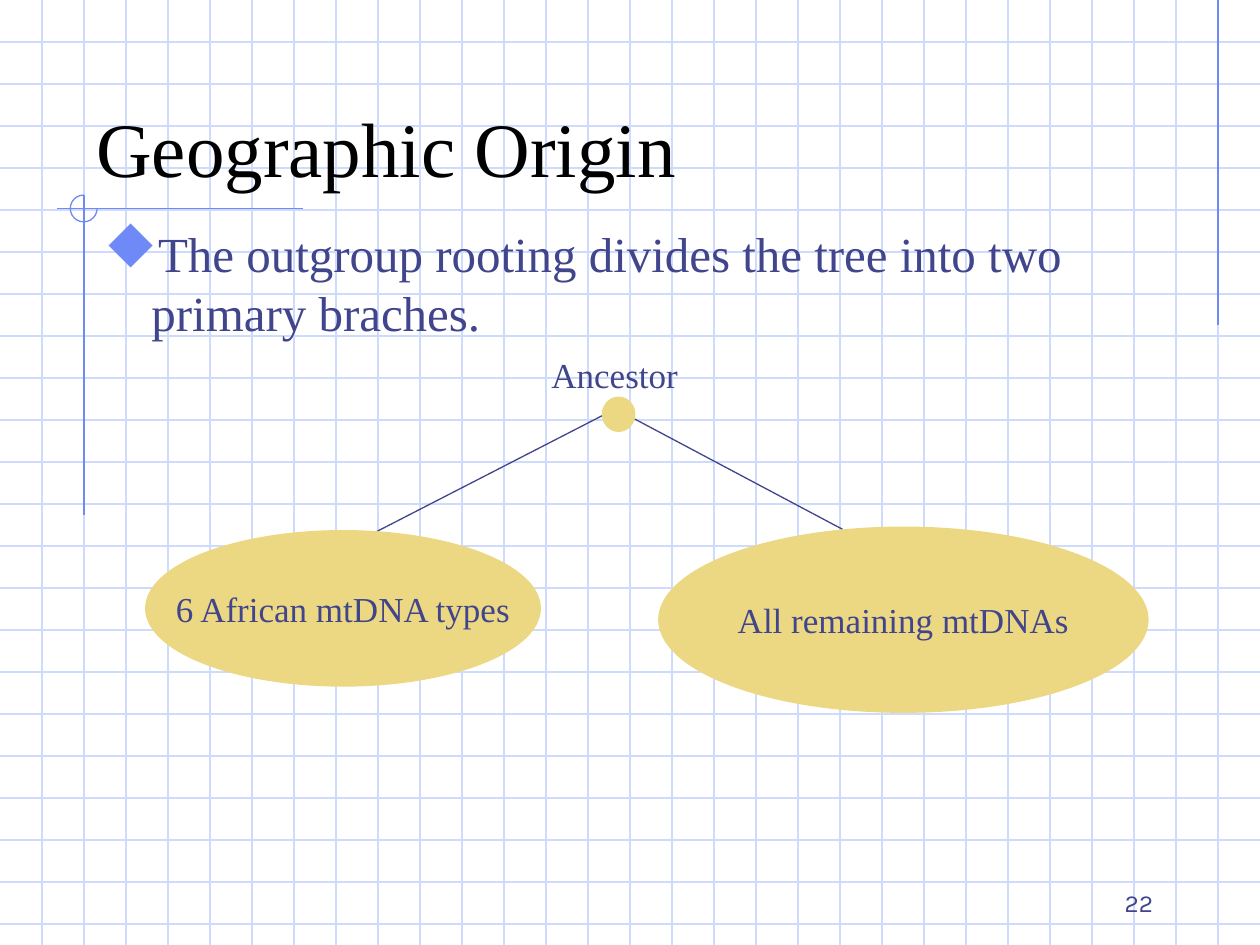
from lxml.etree import SubElement
from pptx import Presentation
from pptx.dml.color import RGBColor
from pptx.enum.shapes import MSO_CONNECTOR, MSO_SHAPE
from pptx.enum.text import MSO_ANCHOR, MSO_AUTO_SIZE, PP_ALIGN
from pptx.oxml.ns import qn
from pptx.util import Pt

BLACK = RGBColor(0x00, 0x00, 0x00)
INDIGO = RGBColor(0x40, 0x45, 0x8C)
PERIWINKLE = RGBColor(0x6F, 0x89, 0xF7)
GRID_BLUE = RGBColor(0xCF, 0xDB, 0xFD)
SAND = RGBColor(0xEC, 0xD8, 0x82)
SERIF = "Times New Roman"
WIDTH, HEIGHT, GRID_STEP = 720, 540, 24

deck = Presentation()
deck.slide_width, deck.slide_height = Pt(WIDTH), Pt(HEIGHT)
slide = deck.slides.add_slide(deck.slide_layouts[6])


def draw_line(x1, y1, x2, y2, color):
    line = slide.shapes.add_connector(
        MSO_CONNECTOR.STRAIGHT, Pt(x1), Pt(y1), Pt(x2), Pt(y2)
    )
    line.line.color.rgb = color
    line.line.width = Pt(0.75)
    SubElement(line._element.spPr, qn("a:effectLst"))


def write(holder, text, size, color=INDIGO, font=SERIF, align=PP_ALIGN.LEFT, **frame_format):
    frame = holder.text_frame
    for attribute, value in frame_format.items():
        setattr(frame, attribute, value)
    paragraph = frame.paragraphs[0]
    paragraph.alignment = align
    run = paragraph.add_run()
    run.text = text
    for attribute, value in {"name": font, "size": Pt(size)}.items():
        setattr(run.font, attribute, value)
    run.font.color.rgb = color
    return paragraph


for y in range(GRID_STEP, HEIGHT, GRID_STEP):
    draw_line(0, y, WIDTH, y, GRID_BLUE)
for x in range(GRID_STEP, WIDTH, GRID_STEP):
    draw_line(x, 0, x, HEIGHT, GRID_BLUE)

for ends in [(696, 0, 696, 186), (173, 119.2, 32.5, 119.2), (48, 111.5, 48, 294.5)]:
    draw_line(*ends, PERIWINKLE)

corner_arc = slide.shapes.add_shape(MSO_SHAPE.ARC, Pt(40.2), Pt(111.5), Pt(15.3), Pt(15.3))
corner_arc.shadow.inherit = False
corner_arc.adjustments[0] = 0
corner_arc.adjustments[1] = 162
corner_arc.fill.background()
corner_arc.line.color.rgb = PERIWINKLE
corner_arc.line.width = Pt(0.75)

title = slide.shapes.add_textbox(Pt(48), Pt(24), Pt(612), Pt(90))
write(title, "Geographic Origin", 44, BLACK, word_wrap=True, vertical_anchor=MSO_ANCHOR.BOTTOM)

body = slide.shapes.add_textbox(Pt(52.5), Pt(124), Pt(625.5), Pt(350.5))
statement = write(
    body,
    "The outgroup rooting divides the tree into two primary braches.",
    28,
    word_wrap=True,
)
bullet = statement._p.get_or_add_pPr()
bullet.set("marL", str(Pt(27)))
bullet.set("indent", str(Pt(-27)))
SubElement(SubElement(bullet, qn("a:buClr")), qn("a:srgbClr"), val=str(PERIWINKLE))
SubElement(bullet, qn("a:buSzPct"), val="110000")
SubElement(bullet, qn("a:buFont"), typeface="Wingdings", pitchFamily="2", charset="2")
SubElement(bullet, qn("a:buChar"), char="u")

draw_line(352, 233.5, 208, 307.5, INDIGO)
draw_line(351.5, 233.5, 481.5, 302.5, INDIGO)

for label, left, top, width, height in [
    ("6 African mtDNA types", 83.25, 303.25, 225.5, 88.75),
    ("All remaining mtDNAs", 376.5, 301.25, 279.5, 105.75),
    ("", 344.25, 227, 18.5, 19.5),
]:
    group = slide.shapes.add_shape(MSO_SHAPE.OVAL, Pt(left), Pt(top), Pt(width), Pt(height))
    group.shadow.inherit = False
    group.fill.solid()
    group.fill.fore_color.rgb = SAND
    group.line.color.rgb = SAND
    group.line.width = Pt(0.75)
    if label:
        write(
            group,
            label,
            20,
            align=PP_ALIGN.CENTER,
            word_wrap=False,
            vertical_anchor=MSO_ANCHOR.MIDDLE,
        )

ancestor = slide.shapes.add_textbox(Pt(308), Pt(198.5), Pt(86.5), Pt(31.5))
write(ancestor, "Ancestor", 20, word_wrap=False, auto_size=MSO_AUTO_SIZE.SHAPE_TO_FIT_TEXT)

page_number = slide.shapes.add_textbox(Pt(516), Pt(492), Pt(150), Pt(36))
write(
    page_number,
    "22",
    14,
    font="Karla",
    align=PP_ALIGN.RIGHT,
    word_wrap=True,
    vertical_anchor=MSO_ANCHOR.BOTTOM,
)

deck.save("out.pptx")
